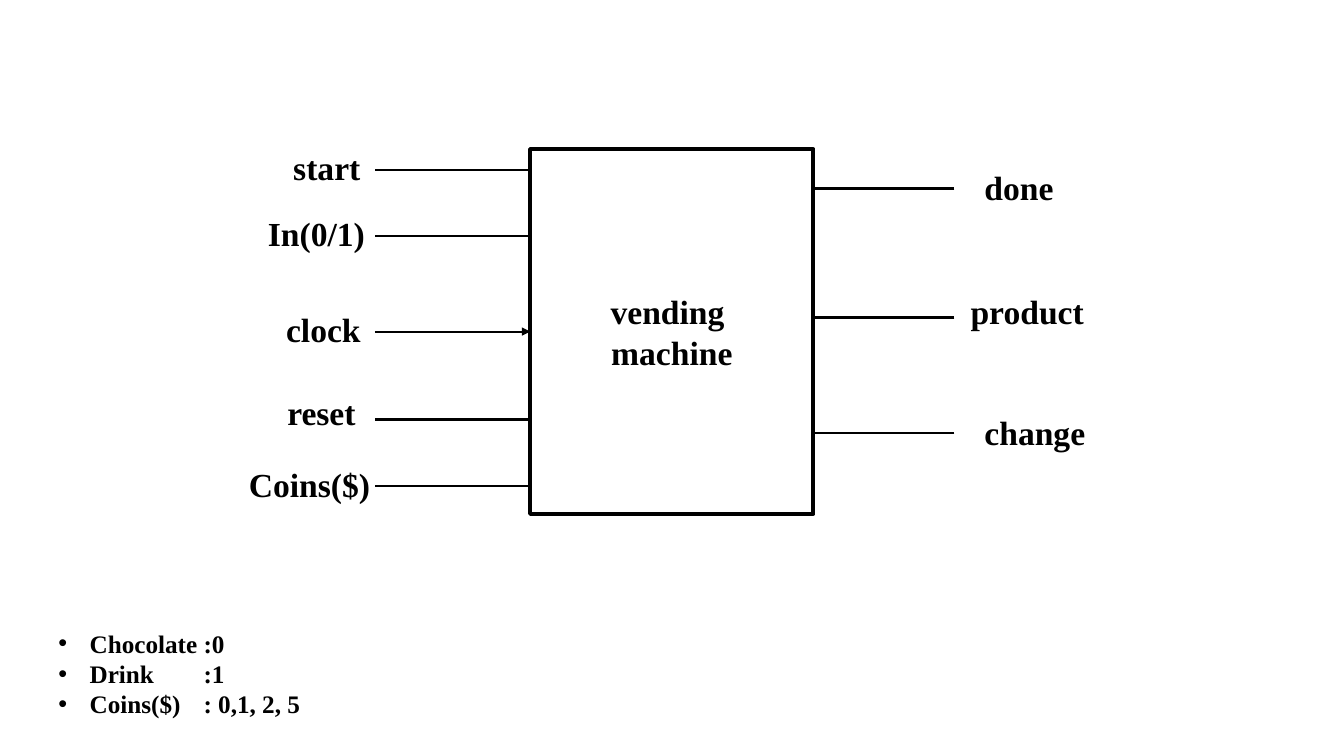
from dataclasses import dataclass

from lxml import etree
from pptx import Presentation
from pptx.dml.color import RGBColor
from pptx.enum import shapes, text
from pptx.oxml import ns
from pptx.util import Cm, Pt


@dataclass(frozen=True)
class Theme:
    font: str = "Times New Roman"
    ink: RGBColor = RGBColor(0, 0, 0)
    paper: RGBColor = RGBColor(255, 255, 255)
    label_size: int = 24
    legend_size: int = 18
    border: float = 3
    wire: float = 1.5


THEME = Theme()

MACHINE_LEFT, MACHINE_TOP, MACHINE_WIDTH, MACHINE_HEIGHT = 13.36, 3.76, 7.14, 9.19
MACHINE_RIGHT = MACHINE_LEFT + MACHINE_WIDTH
INPUT_START, OUTPUT_END = 9.45, 24.05
CLOCK_Y = MACHINE_TOP + MACHINE_HEIGHT / 2
LABEL_HEIGHT = 1.27

INPUTS = [
    ("start", 4.29, 7.14, 3.58, 3.3),
    ("In(0/1)", 5.94, 6.5, 5.23, 3.3),
    ("reset", 10.57, 6.99, 9.75, 3.3),
    ("Coins($)", 12.24, 6.02, 11.56, 4.39),
]
OUTPUTS = [
    ("done", 4.75, 24.56, 4.09, 3.3),
    ("product", 8, 24.21, 7.21, 4.39),
    ("change", 10.92, 24.56, 10.26, 3.3),
]
LEGEND = ["Chocolate :0", "Drink\t:1", "Coins($)\t: 0,1, 2, 5"]
LEGEND_INDENT, LEGEND_HANGING = 3.33, 0.79
LEGEND_TABS = (2.87, 6.2)


def add_run(paragraph, wording, size):
    run = paragraph.add_run()
    run.text = wording
    run.font.name = THEME.font
    run.font.size = Pt(size)
    run.font.bold = True
    run.font.color.rgb = THEME.ink


def paragraph_at(frame, index):
    return frame.add_paragraph() if index else frame.paragraphs[0]


def add_machine(slide):
    machine = slide.shapes.add_shape(
        shapes.MSO_SHAPE.RECTANGLE,
        Cm(MACHINE_LEFT), Cm(MACHINE_TOP), Cm(MACHINE_WIDTH), Cm(MACHINE_HEIGHT),
    )
    machine.shadow.inherit = False
    machine.fill.solid()
    machine.fill.fore_color.rgb = THEME.paper
    machine.line.color.rgb = THEME.ink
    machine.line.width = Pt(THEME.border)
    frame = machine.text_frame
    frame.vertical_anchor = text.MSO_ANCHOR.MIDDLE
    for index, wording in enumerate(["vending ", "machine"]):
        paragraph = paragraph_at(frame, index)
        paragraph.alignment = text.PP_ALIGN.CENTER
        add_run(paragraph, wording, THEME.label_size)
    return machine


def add_wire(slide, start, end, y):
    wire = slide.shapes.add_connector(
        shapes.MSO_CONNECTOR.STRAIGHT, Cm(start), Cm(y), Cm(end), Cm(y)
    )
    wire.line.color.rgb = THEME.ink
    wire.line.width = Pt(THEME.wire)
    etree.SubElement(wire._element.spPr, ns.qn("a:effectLst"))
    return wire


def add_clock_wire(slide, machine):
    clock = add_wire(slide, INPUT_START, MACHINE_LEFT, CLOCK_Y)
    clock.end_connect(machine, 1)
    etree.SubElement(clock.line._get_or_add_ln(), ns.qn("a:tailEnd"), type="triangle")


def add_text_box(slide, left, top, width, height):
    frame = slide.shapes.add_textbox(Cm(left), Cm(top), Cm(width), Cm(height)).text_frame
    frame.word_wrap = True
    frame.auto_size = text.MSO_AUTO_SIZE.SHAPE_TO_FIT_TEXT
    return frame


def add_label(slide, wording, left, top, width):
    frame = add_text_box(slide, left, top, width, LABEL_HEIGHT)
    add_run(frame.paragraphs[0], wording, THEME.label_size)


def format_bullet(paragraph):
    properties = paragraph._p.get_or_add_pPr()
    properties.set("marL", str(Cm(LEGEND_INDENT)))
    properties.set("indent", str(-Cm(LEGEND_HANGING)))
    etree.SubElement(properties, ns.qn("a:buFont"), typeface="Arial")
    etree.SubElement(properties, ns.qn("a:buChar"), char="•")
    stops = etree.SubElement(properties, ns.qn("a:tabLst"))
    for position in LEGEND_TABS:
        etree.SubElement(stops, ns.qn("a:tab"), pos=str(Cm(position)), algn="l")


def add_legend(slide):
    frame = add_text_box(slide, -1.32, 15.7, 16.92, 3.33)
    for index, wording in enumerate(LEGEND):
        paragraph = paragraph_at(frame, index)
        paragraph.level = 2
        format_bullet(paragraph)
        add_run(paragraph, wording, THEME.legend_size)


def main():
    deck = Presentation()
    deck.slide_width, deck.slide_height = Cm(33.87), Cm(19.05)
    slide = deck.slides.add_slide(deck.slide_layouts[6])

    machine = add_machine(slide)
    add_clock_wire(slide, machine)
    add_label(slide, "clock", 6.96, 7.65, 3.3)
    for signals, start, end in (
        (INPUTS, MACHINE_LEFT, INPUT_START),
        (OUTPUTS, OUTPUT_END, MACHINE_RIGHT),
    ):
        for wording, wire_y, left, top, width in signals:
            add_wire(slide, start, end, wire_y)
            add_label(slide, wording, left, top, width)
    add_legend(slide)

    deck.save("out.pptx")


if __name__ == "__main__":
    main()
